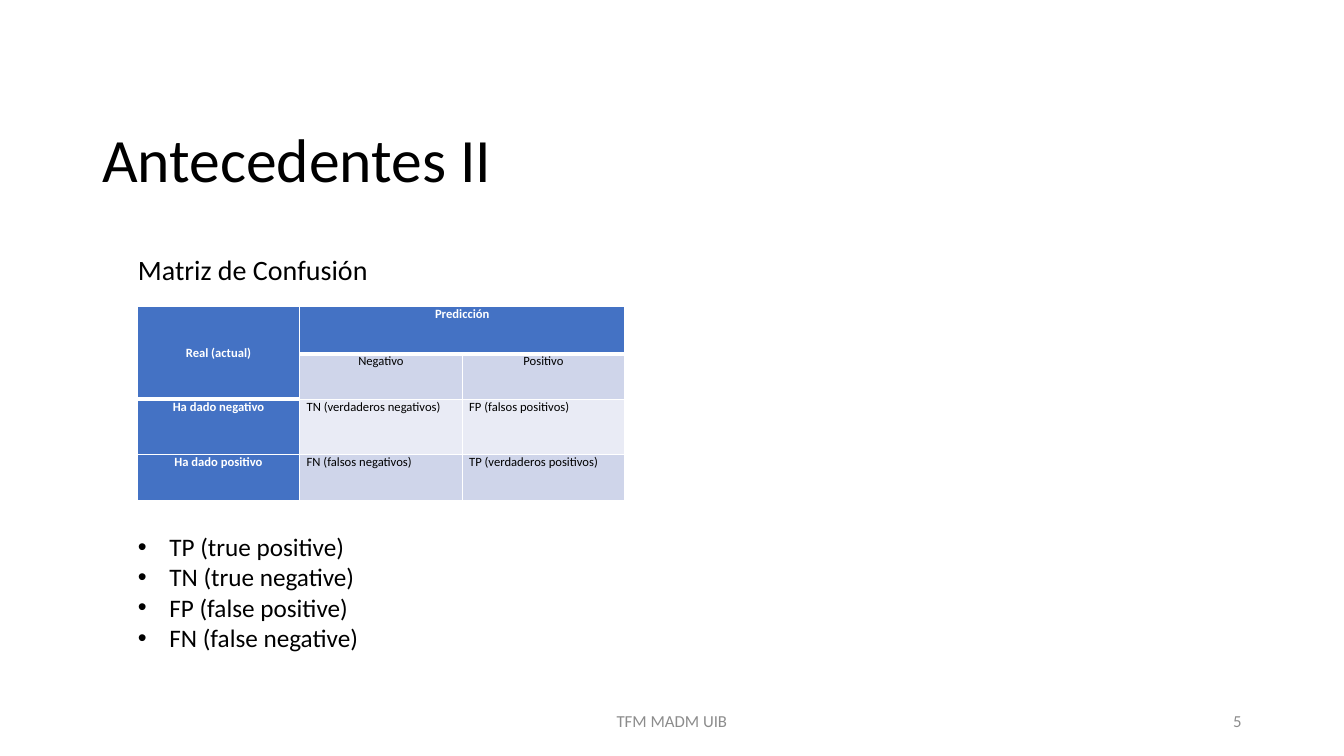
from dataclasses import dataclass

from lxml.etree import SubElement
from pptx import Presentation
from pptx.dml.color import RGBColor
from pptx.enum.text import MSO_ANCHOR, PP_ALIGN
from pptx.oxml.ns import qn
from pptx.util import Pt


@dataclass(frozen=True)
class Theme:
    font: str = "Calibri"
    black: str = "000000"
    white: str = "FFFFFF"
    grey: str = "8C8C8C"
    header: str = "4472C4"
    band_dark: str = "CFD5EA"
    band_light: str = "E9EBF5"
    title: int = 44
    subtitle: int = 20
    body: int = 18
    footer: int = 12
    cell: int = 9


THEME = Theme()

MATRIX = [
    ["Real (actual)", "Predicción", ""],
    ["", "Negativo", "Positivo"],
    ["Ha dado negativo", "TN (verdaderos negativos)", "FP (falsos positivos)"],
    ["Ha dado positivo", "FN (falsos negativos)", "TP (verdaderos positivos)"],
]
ROW_HEIGHTS = [33.8, 32.4, 39.6, 33.1]
COLUMN_WIDTH = 116.1
# Cells with a thick rule below the header
HEAVY_BOTTOM = {(0, 0), (0, 1), (0, 2), (1, 0)}

TERMS = [
    "TP (true positive)",
    "TN (true negative)",
    "FP (false positive)",
    "FN (false negative)",
]


def add_run(p, text, size, color=THEME.black, bold=False):
    r = p.add_run()
    r.text = text
    r.font.name = THEME.font
    r.font.size = Pt(size)
    r.font.bold = bold
    r.font.color.rgb = RGBColor.from_string(color)


def add_text_frame(s, left, top, width, height, anchor=MSO_ANCHOR.MIDDLE):
    sp = s.shapes.add_textbox(Pt(left), Pt(top), Pt(width), Pt(height))
    tf = sp.text_frame
    tf.word_wrap = True
    tf.vertical_anchor = anchor
    return tf


def add_title(s, text):
    p = add_text_frame(s, 66, 80.6, 422, 70.6).paragraphs[0]
    p.line_spacing = 0.9
    add_run(p, text, THEME.title)


def add_footer(s, text, left, width, align):
    p = add_text_frame(s, left, 500.5, width, 28.8).paragraphs[0]
    p.alignment = align
    add_run(p, text, THEME.footer, THEME.grey)


def set_bullet(p, indent):
    pPr = p._p.get_or_add_pPr()
    pPr.set("marL", str(Pt(indent)))
    pPr.set("indent", str(-Pt(indent)))
    SubElement(pPr, qn("a:buFont"), typeface="Arial")
    SubElement(pPr, qn("a:buChar"), char="•")


def add_body(s, heading, terms):
    """Heading above the table and bulleted terms below it, in one box."""
    tf = add_text_frame(s, 91.4, 177.1, 774, 317.5, MSO_ANCHOR.TOP)
    add_run(tf.paragraphs[0], heading, THEME.subtitle)
    for i, term in enumerate(terms):
        p = tf.add_paragraph()
        p.space_before = Pt(0 if i else 175)
        set_bullet(p, 22.5)
        add_run(p, term, THEME.body)


def set_borders(cell, widths):
    tcPr = cell._tc.get_or_add_tcPr()
    for side, width in widths.items():
        ln = SubElement(tcPr, qn(f"a:ln{side}"), w=str(Pt(width)))
        fill = SubElement(ln, qn("a:solidFill"))
        SubElement(fill, qn("a:srgbClr"), val=THEME.white)


def style_cell(cell, row, col, text):
    is_header = row == 0 or col == 0
    cell.margin_left = cell.margin_right = Pt(5)
    cell.margin_top = cell.margin_bottom = Pt(0)
    if (row, col) == (0, 0):
        cell.vertical_anchor = MSO_ANCHOR.MIDDLE
    else:
        cell.vertical_anchor = MSO_ANCHOR.TOP
    set_borders(cell, {
        "L": 1,
        "R": 1,
        "T": 3 if (row - 1, col) in HEAVY_BOTTOM else 1,
        "B": 3 if (row, col) in HEAVY_BOTTOM else 1,
    })
    band = THEME.band_dark if row % 2 else THEME.band_light
    cell.fill.solid()
    cell.fill.fore_color.rgb = RGBColor.from_string(THEME.header if is_header else band)
    if text:
        p = cell.text_frame.paragraphs[0]
        p.alignment = PP_ALIGN.CENTER if is_header or row == 1 else PP_ALIGN.JUSTIFY
        add_run(p, text, THEME.cell, THEME.white if is_header else THEME.black, is_header)


def add_matrix(s):
    rows, cols = len(MATRIX), len(MATRIX[0])
    table = s.shapes.add_table(rows, cols, Pt(98), Pt(219),
                               Pt(COLUMN_WIDTH * cols), Pt(sum(ROW_HEIGHTS))).table
    for column in table.columns:
        column.width = Pt(COLUMN_WIDTH)
    for row, height in enumerate(ROW_HEIGHTS):
        table.rows[row].height = Pt(height)
        for col, text in enumerate(MATRIX[row]):
            style_cell(table.cell(row, col), row, col, text)
    table.cell(0, 0).merge(table.cell(1, 0))
    table.cell(0, 1).merge(table.cell(0, 2))


def main():
    prs = Presentation()
    prs.slide_width, prs.slide_height = Pt(960), Pt(540)
    s = prs.slides.add_slide(prs.slide_layouts[6])
    add_title(s, "Antecedentes II")
    add_footer(s, "5", 678, 216, PP_ALIGN.RIGHT)
    add_body(s, "Matriz de Confusión", TERMS)
    add_footer(s, "TFM MADM UIB", 318, 324, PP_ALIGN.CENTER)
    add_matrix(s)
    prs.save("out.pptx")


if __name__ == "__main__":
    main()
